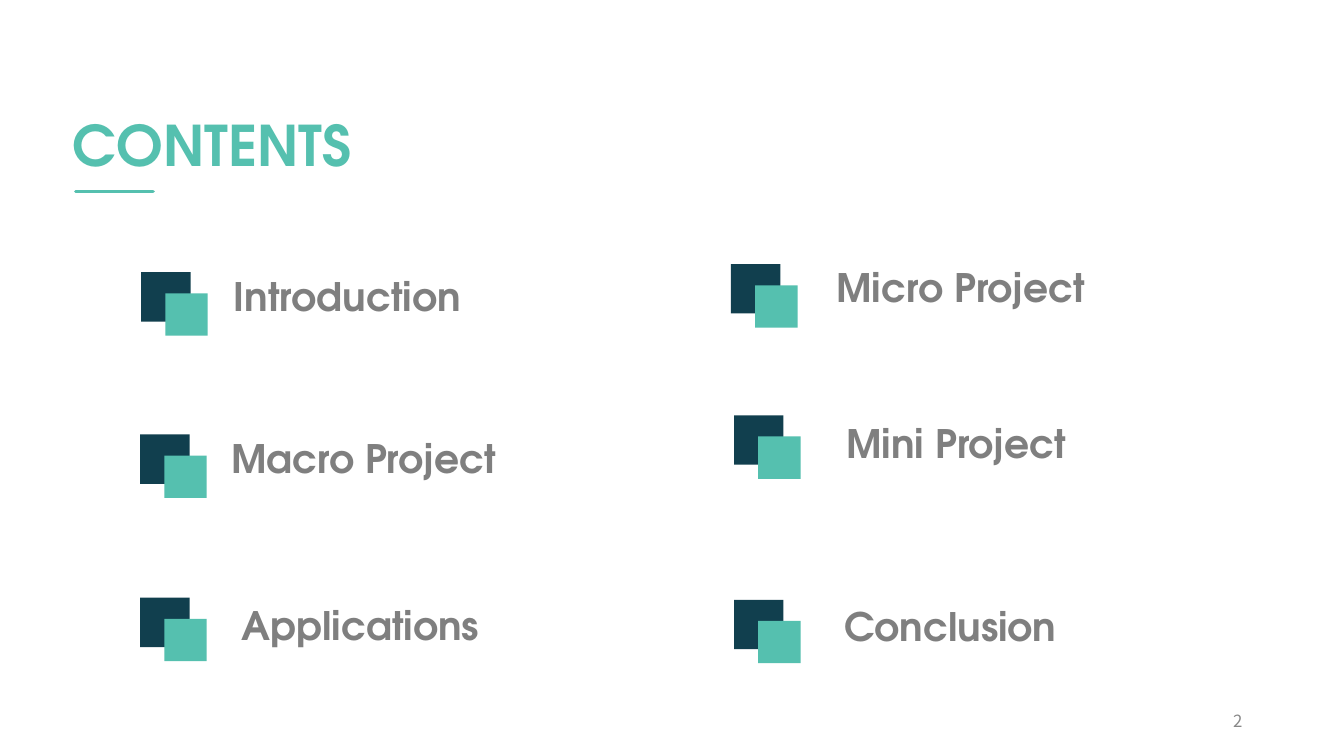
from lxml import etree
from pptx import Presentation
from pptx.dml.color import RGBColor
from pptx.enum.shapes import MSO_CONNECTOR, MSO_SHAPE
from pptx.enum.text import MSO_ANCHOR, PP_ALIGN
from pptx.oxml.ns import qn
from pptx.util import Inches, Pt

TEAL = RGBColor(0x55, 0xC0, 0xAF)
NAVY = RGBColor(0x11, 0x3F, 0x4E)
GREY = RGBColor(0x7F, 0x7F, 0x7F)
PALE_GREY = RGBColor(0x88, 0x88, 0x88)
HEADING_FONT = "TeX Gyre Adventor"
NUMBER_FONT = "Noto Sans CJK SC"
CENTER, RIGHT = PP_ALIGN.CENTER, PP_ALIGN.RIGHT
TOP, MIDDLE = MSO_ANCHOR.TOP, MSO_ANCHOR.MIDDLE
RECTANGLE, STRAIGHT = MSO_SHAPE.RECTANGLE, MSO_CONNECTOR.STRAIGHT


def add_label(shapes, text, left, top, width, height, size, color,
              font=HEADING_FONT, bold=True, align=CENTER, anchor=TOP):
    box = shapes.add_textbox(Inches(left), Inches(top), Inches(width), Inches(height))
    frame = box.text_frame
    frame.word_wrap = True
    frame.vertical_anchor = anchor
    paragraph = frame.paragraphs[0]
    paragraph.alignment = align
    run = paragraph.add_run()
    run.text = text
    run.font.name = font
    run.font.size = Pt(size)
    run.font.bold = bold
    run.font.color.rgb = color


def add_square(shapes, left, top, side, color):
    square = shapes.add_shape(RECTANGLE, Inches(left), Inches(top), Inches(side), Inches(side))
    square.shadow.inherit = False
    square.fill.solid()
    square.fill.fore_color.rgb = color
    square.line.fill.background()


prs = Presentation()
prs.slide_width = Inches(13.33)
prs.slide_height = Inches(7.5)
slide = prs.slides.add_slide(prs.slide_layouts[6])

# Title and its underline
add_label(slide.shapes, "CONTENTS", 0.61, 1.05, 2.99, 0.77, 40, TEAL)
underline = slide.shapes.add_connector(
    STRAIGHT, Inches(0.75), Inches(1.9), Inches(1.52), Inches(1.9))
underline.line.color.rgb = TEAL
underline.line.width = Pt(2.25)
underline.line._ln.set("cap", "rnd")
etree.SubElement(underline._element.spPr, qn("a:effectLst"))

# Topics: text, label left, top and width, marker left and top
topics = [
    ("Introduction", 2.2, 2.65, 2.49, 1.4, 2.7),
    ("Micro Project", 8.03, 2.56, 3, 7.25, 2.62),
    ("Macro Project", 2.18, 4.26, 2.85, 1.39, 4.31),
    ("Mini Project", 7.94, 4.11, 3.09, 7.28, 4.12),
    ("Applications", 2.12, 5.92, 2.91, 1.39, 5.93),
    ("Conclusion", 7.94, 5.93, 2.97, 7.28, 5.95),
]
for topic, label_left, label_top, label_width, marker_left, marker_top in topics:
    entry = slide.shapes.add_group_shape().shapes
    add_label(entry, topic, label_left, label_top, label_width, 0.57, 28, GREY)
    add_square(entry, marker_left, marker_top, 0.49, NAVY)
    add_square(entry, marker_left + 0.24, marker_top + 0.21, 0.42, TEAL)

# Slide number
add_label(slide.shapes, "2", 9.42, 6.95, 3, 0.4, 12, PALE_GREY,
          font=NUMBER_FONT, bold=False, align=RIGHT, anchor=MIDDLE)

prs.save("out.pptx")
